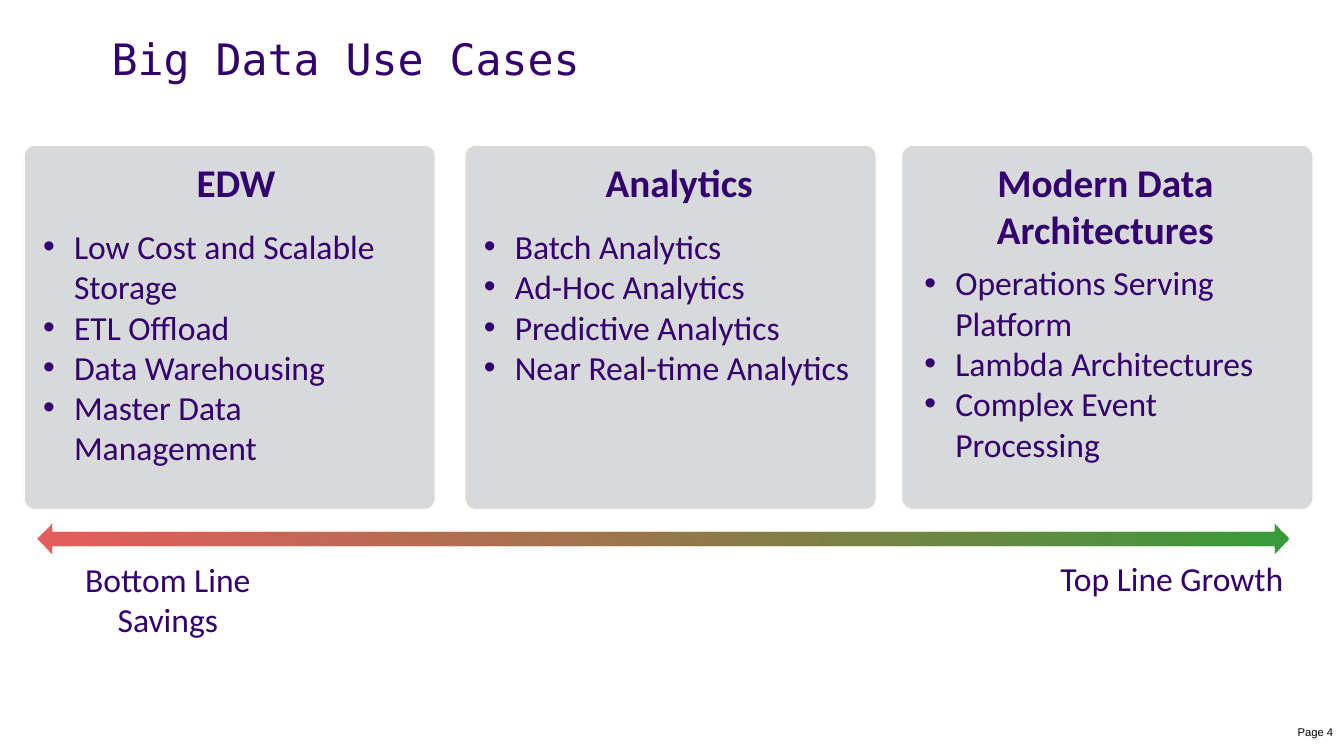
from dataclasses import dataclass

from lxml.etree import SubElement
from pptx import Presentation
from pptx.dml.color import RGBColor
from pptx.enum.shapes import MSO_SHAPE as Preset
from pptx.enum.text import MSO_ANCHOR as Anchor, MSO_AUTO_SIZE as AutoSize, PP_ALIGN as Align
from pptx.oxml.ns import qn
from pptx.util import Inches, Pt


@dataclass(frozen=True)
class Theme:
    ink: str = "33006F"
    black: str = "000000"
    card: str = "D8D9DA"
    card_edge: str = "FDFBF6"
    savings: str = "D50202"
    growth: str = "008000"
    body_font: str = "Calibri"
    title_font: str = "DejaVu Sans Mono"
    page_font: str = "Arial"
    title_size: float = 23.2
    heading_size: float = 21
    body_size: float = 18
    page_size: float = 6


@dataclass(frozen=True)
class Box:
    left: float
    top: float
    width: float
    height: float

    def inner(self, left, top, width, height):
        """Return an inner box given in percent of this one."""
        return Box(self.left + self.width * left / 100,
                   self.top + self.height * top / 100,
                   self.width * width / 100, self.height * height / 100)

    def emu(self):
        return [Inches(side) for side in (self.left, self.top, self.width, self.height)]


THEME = Theme()
PAGE = Box(0, 0, 10, 5.625)

# Card left, heading inset, list inset and list top in percent
CARDS = [
    (1.8, 8.2, 2, 19.2, "EDW",
     ["Low Cost and Scalable Storage", "ETL Offload", "Data Warehousing",
      "Master Data Management"]),
    (34.6, 8.8, 2, 19.2, "Analytics",
     ["Batch Analytics", "Ad-Hoc Analytics", "Predictive Analytics",
      "Near Real-time Analytics"]),
    (67.1, 6.2, 2.9, 29.2, "Modern Data Architectures",
     ["Operations Serving Platform", "Lambda Architectures",
      "Complex Event Processing"]),
]


def color(code):
    return RGBColor.from_string(code)


def set_frame(frame, inset_x, inset_y, anchor=Anchor.TOP):
    frame.word_wrap = True
    frame.auto_size = AutoSize.NONE
    frame.vertical_anchor = anchor
    frame.margin_left = frame.margin_right = Inches(inset_x)
    frame.margin_top = frame.margin_bottom = Inches(inset_y)


def add_run(paragraph, text, size, font=THEME.body_font, ink=THEME.ink, bold=False):
    run = paragraph.add_run()
    run.text = text
    run.font.name, run.font.size, run.font.bold = font, Pt(size), bold
    run.font.color.rgb = color(ink)


def add_line(slide, box, text, size, align, insets, anchor=Anchor.TOP, **style):
    frame = slide.shapes.add_textbox(*box.emu()).text_frame
    set_frame(frame, *insets, anchor)
    paragraph = frame.paragraphs[0]
    paragraph.alignment = align
    add_run(paragraph, text, size, **style)


def add_bullet(paragraph):
    props = paragraph._p.get_or_add_pPr()
    props.set("marL", str(Inches(0.23)))
    props.set("indent", str(-Inches(0.23)))
    SubElement(props, qn("a:buFont")).set("typeface", "Arial")
    SubElement(props, qn("a:buChar")).set("char", "•")


def add_title(slide, box):
    title = slide.shapes.title
    title.left, title.top, title.width, title.height = box.emu()
    set_frame(title.text_frame, 0.1, 0.05)
    paragraph = title.text_frame.paragraphs[0]
    paragraph.alignment = Align.LEFT
    paragraph.line_spacing = 0.7
    paragraph.space_before = Pt(0)
    add_run(paragraph, "Big Data Use Cases", THEME.title_size, THEME.title_font)


def add_card(slide, box, heading_inset, list_inset, list_top, heading, use_cases):
    # Panel
    panel = slide.shapes.add_shape(Preset.ROUNDED_RECTANGLE, *box.emu())
    panel.adjustments[0] = 0.03
    panel.shadow.inherit = False
    panel.fill.solid()
    panel.fill.fore_color.rgb = color(THEME.card)
    panel.line.color.rgb = color(THEME.card_edge)
    panel.line.width = Pt(0.75)

    # Heading
    add_line(slide, box.inner(heading_inset, 2.2, 86.6, 16.6), heading,
             THEME.heading_size, Align.CENTER, (0.08, 0.04), bold=True)

    # Use cases
    list_box = box.inner(list_inset, list_top, 96.7, 68.6)
    frame = slide.shapes.add_textbox(*list_box.emu()).text_frame
    set_frame(frame, 0.08, 0.08)
    for index, use_case in enumerate(use_cases):
        paragraph = frame.add_paragraph() if index else frame.paragraphs[0]
        add_bullet(paragraph)
        add_run(paragraph, use_case, THEME.body_size)


def add_value_scale(slide, box):
    # Arrow from savings to growth
    arrow = slide.shapes.add_shape(Preset.LEFT_RIGHT_ARROW, *box.inner(0, 0, 98.9, 22).emu())
    arrow.shadow.inherit = False
    arrow.line.fill.background()
    arrow.fill.gradient()
    arrow.fill.gradient_angle = 0
    ends = ((0, THEME.savings, 64), (1, THEME.growth, 78))
    for stop, (position, code, opacity) in zip(arrow.fill.gradient_stops, ends):
        stop.position = position
        stop.color.rgb = color(code)
        rgb = stop._gs.find(qn("a:srgbClr"))
        SubElement(rgb, qn("a:alpha")).set("val", str(opacity * 1000))

    # End labels
    for left, top, label in ((0, 16, "Bottom Line Savings"), (79.4, 15, "Top Line Growth")):
        add_line(slide, box.inner(left, top, 20.6, 84), label,
                 THEME.body_size, Align.CENTER, (0.1, 0.1))


def add_page_number(slide, box):
    add_line(slide, box, "Page 4", THEME.page_size, Align.RIGHT, (0.08, 0.04),
             Anchor.MIDDLE, font=THEME.page_font, ink=THEME.black)


def main():
    deck = Presentation()
    deck.slide_width, deck.slide_height = Inches(PAGE.width), Inches(PAGE.height)
    slide = deck.slides.add_slide(deck.slide_layouts[5])

    add_title(slide, PAGE.inner(7.3, 5.3, 89.5, 6.6))
    for left, *content in CARDS:
        add_card(slide, PAGE.inner(left, 19.2, 30.6, 48.2), *content)
    add_value_scale(slide, PAGE.inner(2.8, 69.3, 94.1, 17.8))
    add_page_number(slide, PAGE.inner(76.7, 94.2, 23.3, 5.3))

    deck.save("out.pptx")


if __name__ == "__main__":
    main()
